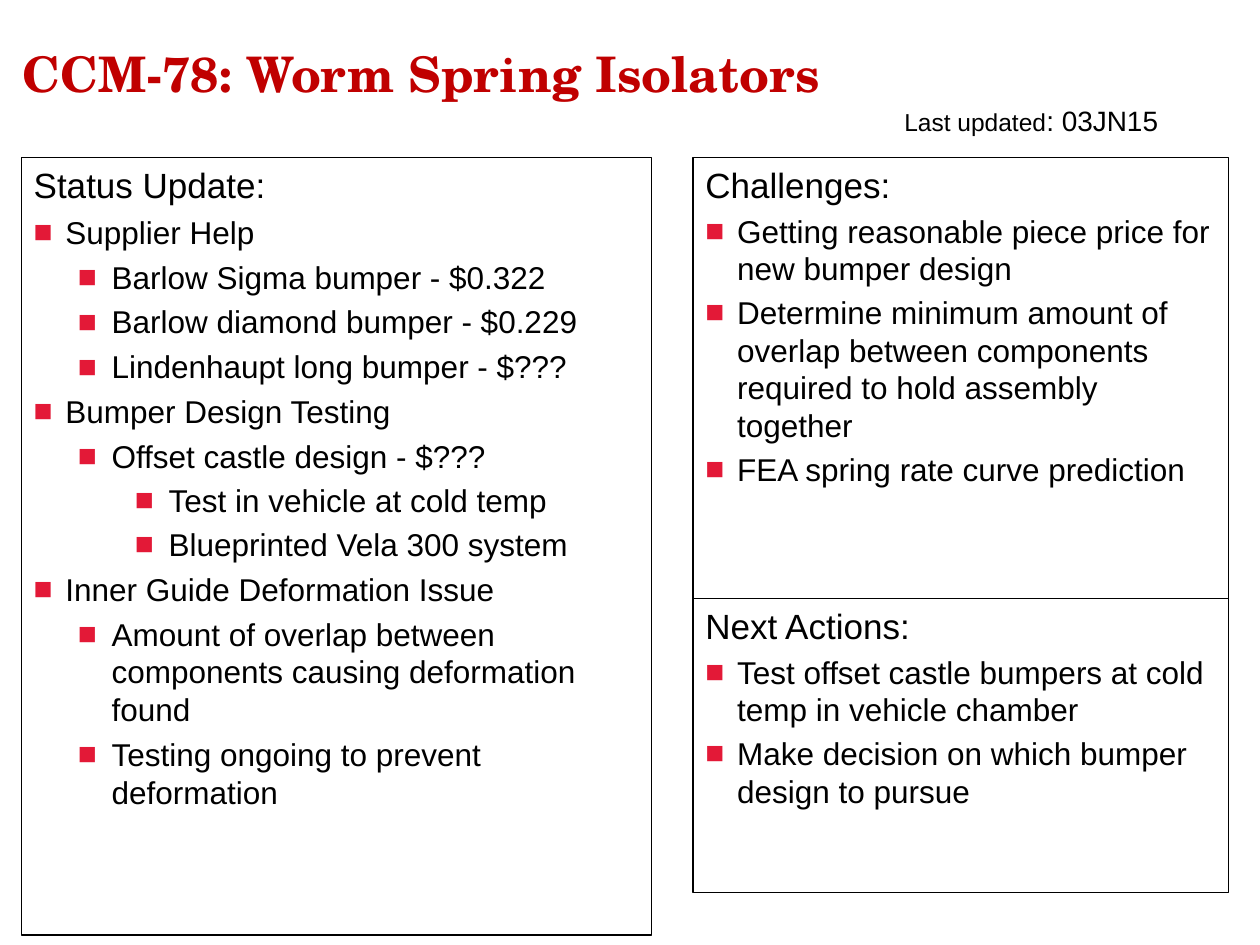
from dataclasses import dataclass

from lxml.etree import SubElement
from pptx import Presentation
from pptx.dml.color import RGBColor
from pptx.enum.shapes import MSO_SHAPE as Preset
from pptx.enum.text import MSO_ANCHOR as Anchor, PP_ALIGN as Align
from pptx.oxml.ns import qn
from pptx.util import Cm, Pt


@dataclass(frozen=True)
class Theme:
    text: RGBColor = RGBColor(0x00, 0x00, 0x00)
    title: RGBColor = RGBColor(0xC0, 0x00, 0x00)
    bullet: str = "E31937"
    body_font: str = "Arial"
    title_font: str = "TeX Gyre Schola"
    title_size: Pt = Pt(28)
    heading_size: Pt = Pt(20)
    item_size: Pt = Pt(18)
    date_size: Pt = Pt(16)
    label_size: Pt = Pt(14)
    border: Pt = Pt(0.75)


THEME = Theme()
LEVEL_MARGINS = (Cm(0.64), Cm(1.57), Cm(2.72))
HANGING = Cm(0.68)
PANEL_TOP = Cm(3.18)
LEFT_X, LEFT_WIDTH = Cm(0.43), Cm(12.7)
RIGHT_X, RIGHT_WIDTH = Cm(13.97), Cm(10.8)
CHALLENGES_HEIGHT = Cm(8.89)

STATUS = [
    (0, "Supplier Help"),
    (1, "Barlow Sigma bumper - $0.322"),
    (1, "Barlow diamond bumper - $0.229"),
    (1, "Lindenhaupt long bumper - $???"),
    (0, "Bumper Design Testing"),
    (1, "Offset castle design - $???"),
    (2, "Test in vehicle at cold temp"),
    (2, "Blueprinted Vela 300 system"),
    (0, "Inner Guide Deformation Issue"),
    (1, "Amount of overlap between components causing deformation found"),
    (1, "Testing ongoing to prevent deformation"),
]
CHALLENGES = [
    (0, "Getting reasonable piece price for new bumper design"),
    (0, "Determine minimum amount of overlap between components "
        "required to hold assembly together"),
    (0, "FEA spring rate curve prediction"),
]
NEXT_ACTIONS = [
    (0, "Test offset castle bumpers at cold temp in vehicle chamber"),
    (0, "Make decision on which bumper design to pursue"),
]


def format_run(run, size, color=THEME.text, font=THEME.body_font, bold=False):
    run.font.size = size
    run.font.name = font
    run.font.bold = bold
    run.font.color.rgb = color


def add_bullet(paragraph, level):
    margin = LEVEL_MARGINS[level]
    paragraph.level = level
    properties = paragraph._p.get_or_add_pPr()
    properties.set("marL", str(margin))
    properties.set("indent", str(-min(margin, HANGING)))
    color = SubElement(properties, qn("a:buClr"))
    SubElement(color, qn("a:srgbClr"), val=THEME.bullet)
    SubElement(properties, qn("a:buFont"), typeface=THEME.body_font)
    SubElement(properties, qn("a:buChar"), char="■")


def add_panel(slide, left, top, width, height, heading, items, spacing):
    shape = slide.shapes.add_shape(Preset.RECTANGLE, left, top, width, height)
    shape.shadow.inherit = False
    shape.fill.background()
    shape.line.color.rgb = THEME.text
    shape.line.width = THEME.border
    frame = shape.text_frame
    frame.word_wrap = True
    frame.vertical_anchor = Anchor.TOP
    frame.text = heading
    frame.paragraphs[0].alignment = Align.LEFT
    format_run(frame.paragraphs[0].runs[0], THEME.heading_size)
    for level, text in items:
        paragraph = frame.add_paragraph()
        paragraph.text = text
        paragraph.alignment = Align.LEFT
        add_bullet(paragraph, level)
        paragraph.space_before = spacing[level]
        format_run(paragraph.runs[0], THEME.item_size)


def add_text_box(slide, left, top, width, height, anchor):
    frame = slide.shapes.add_textbox(left, top, width, height).text_frame
    frame.word_wrap = True
    frame.vertical_anchor = anchor
    return frame


def add_title(slide, text):
    frame = add_text_box(slide, Cm(0.2), Cm(0.2), Cm(16.94), Cm(2.54), Anchor.MIDDLE)
    frame.text = text
    format_run(frame.paragraphs[0].runs[0], THEME.title_size, THEME.title,
               THEME.title_font, bold=True)


def add_date(slide, label, date):
    frame = add_text_box(slide, Cm(17.98), Cm(1.96), Cm(5.92), Cm(1.02), Anchor.TOP)
    paragraph = frame.paragraphs[0]
    for text, size in ((label, THEME.label_size), (date, THEME.date_size)):
        run = paragraph.add_run()
        run.text = text
        format_run(run, size)


def main():
    presentation = Presentation()
    presentation.slide_width, presentation.slide_height = Cm(25.4), Cm(19.05)
    slide = presentation.slides.add_slide(presentation.slide_layouts[6])
    add_panel(slide, LEFT_X, PANEL_TOP, LEFT_WIDTH, Cm(15.67),
              "Status Update:", STATUS, (Pt(4), Pt(4), Pt(3.6)))
    add_panel(slide, RIGHT_X, PANEL_TOP, RIGHT_WIDTH, CHALLENGES_HEIGHT,
              "Challenges:", CHALLENGES, (Pt(3.2),))
    add_panel(slide, RIGHT_X, PANEL_TOP + CHALLENGES_HEIGHT, RIGHT_WIDTH, Cm(5.92),
              "Next Actions:", NEXT_ACTIONS, (Pt(3.2),))
    add_date(slide, "Last updated", ": 03JN15")
    add_title(slide, "CCM-78: Worm Spring Isolators")
    presentation.save("out.pptx")


if __name__ == "__main__":
    main()
